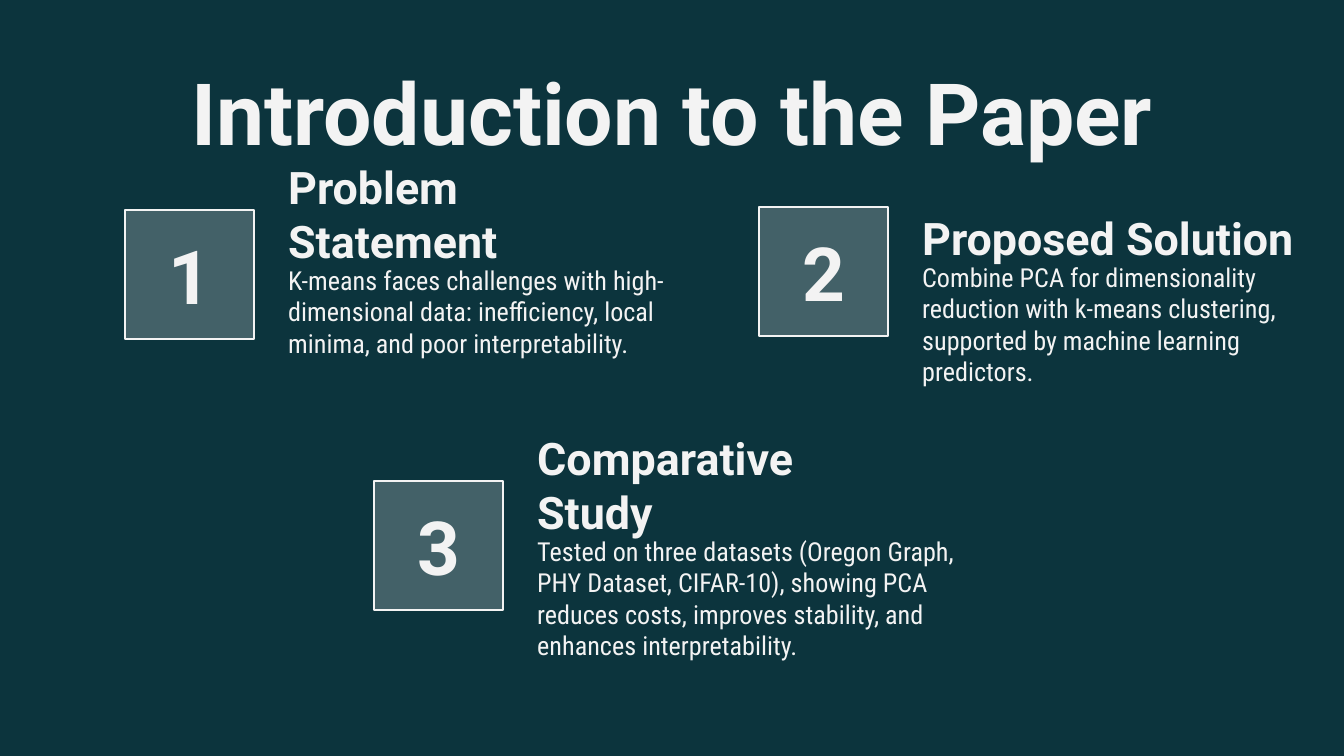
import pptx
import pptx.dml.color
import pptx.enum.shapes
import pptx.enum.text
import pptx.oxml
import pptx.oxml.ns
import pptx.util

TITLE = "Introduction to the Paper"
# badge left, badge top, heading width, body width, heading, body
POINTS = [
    (125, 210, 414, 415, "Problem Statement",
     "K-means faces challenges with high-dimensional data: inefficiency, "
     "local minima, and poor interpretability."),
    (759, 207, 407, 407, "Proposed Solution",
     "Combine PCA for dimensionality reduction with k-means clustering, "
     "supported by machine learning predictors."),
    (374, 481, 407, 446, "Comparative Study",
     "Tested on three datasets (Oregon Graph, PHY Dataset, CIFAR-10), showing PCA "
     "reduces costs, improves stability, and enhances interpretability."),
]
COLORS = {"background": "0C343D", "light": "F3F3F3"}
HEAD_FONT, BODY_FONT = "Roboto", "Roboto Condensed"

PX = pptx.util.Inches(10) / 1344
BADGE = 129
TEXT_DX, HEAD_DY, BODY_DY = 150, 4, 41
HEAD_H, BODY_H = 67, 81

ALIGN = pptx.enum.text.PP_ALIGN
ANCHOR = pptx.enum.text.MSO_ANCHOR


def px(*lengths):
    return [round(length * PX) for length in lengths]


def rgb(name):
    return pptx.dml.color.RGBColor.from_string(COLORS[name])


def write(sp, text, size, font, bold, align, anchor):
    tf = sp.text_frame
    tf.text = text
    tf.word_wrap = True
    tf.auto_size = pptx.enum.text.MSO_AUTO_SIZE.NONE
    tf.vertical_anchor = anchor
    tf.margin_left = tf.margin_right = pptx.util.Inches(0.1)
    tf.margin_top = tf.margin_bottom = pptx.util.Inches(0.1)
    p = tf.paragraphs[0]
    p.alignment = align
    f = p.runs[0].font
    f.name, f.size, f.bold = font, pptx.util.Pt(size), bold
    f.color.rgb = rgb("light")


def add_badge(s, left, top, number):
    sp = s.shapes.add_shape(pptx.enum.shapes.MSO_SHAPE.ROUNDED_RECTANGLE,
                            *px(left, top, BADGE, BADGE))
    sp.adjustments[0] = 0
    sp.shadow.inherit = False
    sp.fill.solid()
    sp.fill.fore_color.rgb = rgb("light")
    color = sp.fill._xPr.find(".//" + pptx.oxml.ns.qn("a:srgbClr"))
    color.append(pptx.oxml.parse_xml(
        f'<a:alpha {pptx.oxml.ns.nsdecls("a")} val="24000"/>'))
    sp.line.color.rgb = rgb("light")
    sp.line.width = pptx.util.Pt(1.5)
    write(sp, str(number), 40, HEAD_FONT, True, ALIGN.CENTER, ANCHOR.MIDDLE)


prs = pptx.Presentation()
prs.slide_width, prs.slide_height = px(1344, 756)
s = prs.slides.add_slide(prs.slide_layouts[5])
s.background.fill.solid()
s.background.fill.fore_color.rgb = rgb("background")

title = s.shapes.title
title.left, title.top, title.width, title.height = px(106, 46, 1132, 118)
write(title, TITLE, 46, HEAD_FONT, True, ALIGN.CENTER, ANCHOR.TOP)

for number, (left, top, head_w, body_w, heading, body) in enumerate(POINTS, 1):
    x = left + TEXT_DX
    sp = s.shapes.add_textbox(*px(x, top + HEAD_DY, head_w, HEAD_H))
    write(sp, heading, 24, HEAD_FONT, True, ALIGN.LEFT, ANCHOR.BOTTOM)
    sp = s.shapes.add_textbox(*px(x, top + BODY_DY, body_w, BODY_H))
    write(sp, body, 14, BODY_FONT, False, ALIGN.LEFT, ANCHOR.TOP)
    add_badge(s, left, top, number)

prs.save("out.pptx")
